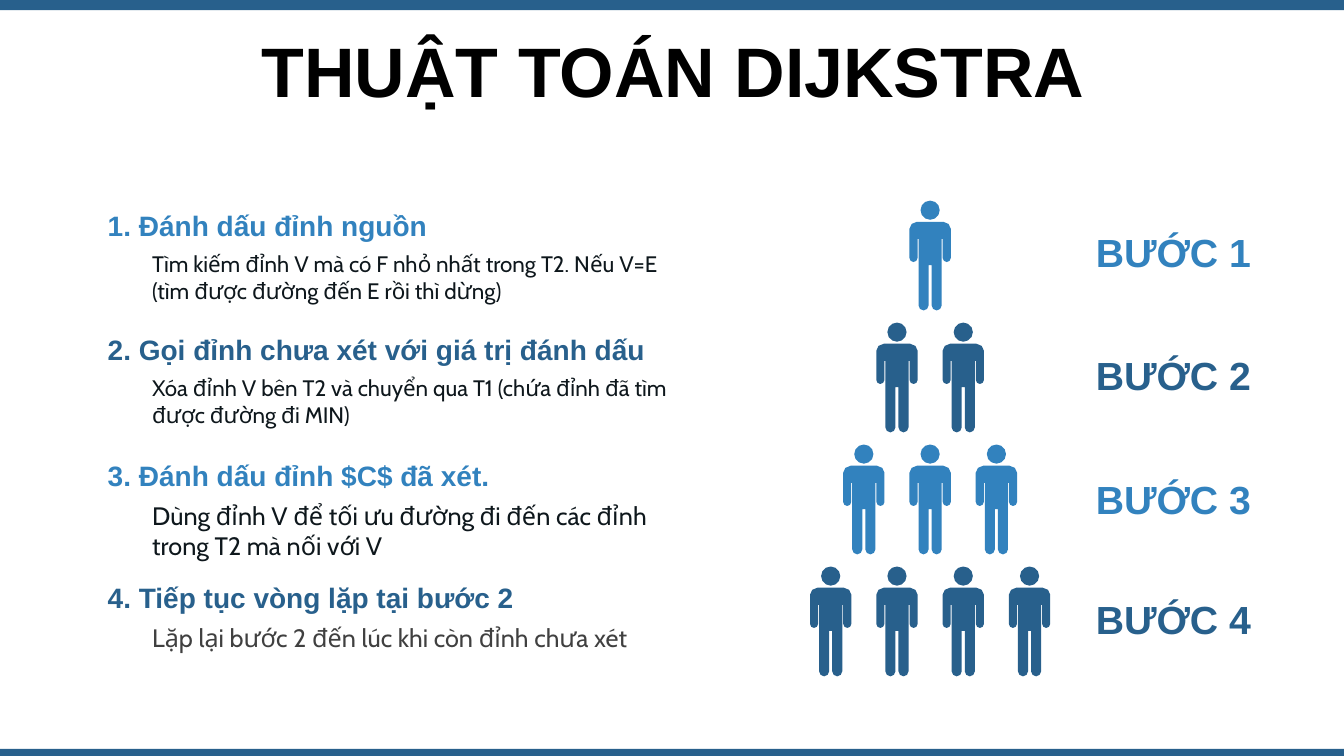
from dataclasses import dataclass

from pptx import Presentation
from pptx.dml.color import RGBColor
from pptx.enum.shapes import MSO_SHAPE
from pptx.enum.text import MSO_ANCHOR, MSO_AUTO_SIZE, PP_ALIGN
from pptx.util import Inches, Pt

RECT, OVAL = MSO_SHAPE.RECTANGLE, MSO_SHAPE.OVAL
TOP, MIDDLE = MSO_ANCHOR.TOP, MSO_ANCHOR.MIDDLE
LEFT, CENTER = PP_ALIGN.LEFT, PP_ALIGN.CENTER
GROW, FIXED = MSO_AUTO_SIZE.SHAPE_TO_FIT_TEXT, MSO_AUTO_SIZE.NONE


@dataclass(frozen=True)
class Theme:
    light: str = "3282BE"
    dark: str = "28608C"
    black: str = "000000"
    ink: str = "0E171C"
    gray: str = "404040"
    head_font: str = "Arial"
    body_font: str = "Cabin"
    title_size: int = 50
    label_size: int = 28
    head_size: int = 20
    body_size: int = 18
    small_size: int = 16


THEME = Theme()
WIDE, HIGH = 13.33, 7.5
UNITS = 1000  # outline units per inch

# Top, heading, detail, detail size, detail colour
STEPS = [
    (2.02, "1. Đánh dấu đỉnh nguồn",
     "Tìm kiếm đỉnh V mà có F nhỏ nhất trong T2. Nếu V=E (tìm được đường đến E rồi thì dừng)",
     THEME.small_size, THEME.ink),
    (3.25, "2. Gọi đỉnh chưa xét với giá trị đánh dấu",
     "Xóa đỉnh V bên T2 và chuyển qua T1 (chứa đỉnh đã tìm được đường đi MIN)",
     THEME.small_size, THEME.ink),
    (4.5, "3. Đánh dấu đỉnh $C$ đã xét.",
     "Dùng đỉnh V để tối ưu đường đi đến các đỉnh trong T2 mà nối với V",
     THEME.body_size, THEME.ink),
    (5.71, "4. Tiếp tục vòng lặp tại bước 2",
     "Lặp lại bước 2 đến lúc khi còn đỉnh chưa xét",
     THEME.body_size, THEME.gray),
]
LABEL_TOPS = [2.22, 3.44, 4.67, 5.86]

# Right half of the body in outline units from the centre line
HALF = [
    (130, 210), (183, 232), (205, 280),
    (205, 570), (193, 598), (165, 610), (137, 598), (125, 570),
    (125, 380), (115, 380),
    (115, 1040), (100, 1075), (65, 1090), (30, 1075), (15, 1040),
    (15, 640),
]
BODY = HALF + [(-x, y) for x, y in reversed(HALF)]
HEAD = 0.19


def tone(index):
    return THEME.dark if index % 2 else THEME.light


def paint(shape, color):
    shape.shadow.inherit = False
    shape.fill.solid()
    shape.fill.fore_color.rgb = RGBColor.from_string(color)
    shape.line.fill.background()


def draw(slide, kind, box, color):
    paint(slide.shapes.add_shape(kind, *map(Inches, box)), color)


def write(slide, box, text, *, size, color, font=THEME.head_font, bold=False,
          align=LEFT, anchor=TOP, fit=GROW, inset=0.1, spacing=None):
    frame = slide.shapes.add_textbox(*map(Inches, box)).text_frame
    frame.word_wrap = True
    frame.auto_size = fit
    frame.vertical_anchor = anchor
    frame.margin_left = frame.margin_right = Inches(inset)
    para = frame.paragraphs[0]
    para.alignment = align
    para.line_spacing = spacing
    run = para.add_run()
    run.text = text
    run.font.name = font
    run.font.size = Pt(size)
    run.font.bold = bold
    run.font.color.rgb = RGBColor.from_string(color)


def person(slide, mid, top, color):
    pen = slide.shapes.build_freeform(*BODY[0], scale=Inches(1) / UNITS)
    pen.add_line_segments(BODY[1:], close=True)
    paint(pen.convert_to_shape(Inches(mid), Inches(top)), color)
    draw(slide, OVAL, (mid - HEAD / 2, top, HEAD, HEAD), color)


def bars(slide):
    for top, high in ((0, 0.1), (7.43, 0.07)):
        draw(slide, RECT, (0, top, WIDE, high), THEME.dark)


def title(slide, box):
    write(slide, box, "THUẬT TOÁN DIJKSTRA", size=THEME.title_size,
          color=THEME.black, bold=True, align=CENTER, anchor=MIDDLE,
          fit=FIXED, spacing=0.8)


def crowd(slide, left, top, wide, high):
    """Draw a pyramid of people, one more in each row."""
    rows = len(STEPS)
    across, down = wide / rows, high / rows
    for row in range(rows):
        for col in range(row + 1):
            mid = left + wide / 2 + (col - row / 2) * across
            person(slide, mid, top + row * down, tone(row))


def step(slide, box, index, item):
    left, top, wide = box
    _, head, text, size, color = item
    indent = 0.46
    high = 0.4 if index == len(STEPS) - 1 else 0.64
    write(slide, (left + indent, top + 0.41, wide - indent, high), text,
          size=size, color=color, font=THEME.body_font, inset=0.08)
    write(slide, (left, top, wide, 0.44), head, size=THEME.head_size,
          color=tone(index), bold=True)


def labels(slide, left, wide):
    for i, top in enumerate(LABEL_TOPS):
        write(slide, (left, top, wide, 0.57), f"BƯỚC {i + 1}",
              size=THEME.label_size, color=tone(i), bold=True)


def main():
    deck = Presentation()
    deck.slide_width, deck.slide_height = Inches(WIDE), Inches(HIGH)
    slide = deck.slides.add_slide(deck.slide_layouts[6])
    bars(slide)
    title(slide, (0.35, 0.37, 12.66, 0.79))
    crowd(slide, 7.91, 1.99, 2.63, 4.84)
    for i, item in enumerate(STEPS):
        step(slide, (0.97, item[0], 5.93), i, item)
    labels(slide, 10.77, 1.91)
    deck.save("out.pptx")


if __name__ == "__main__":
    main()
